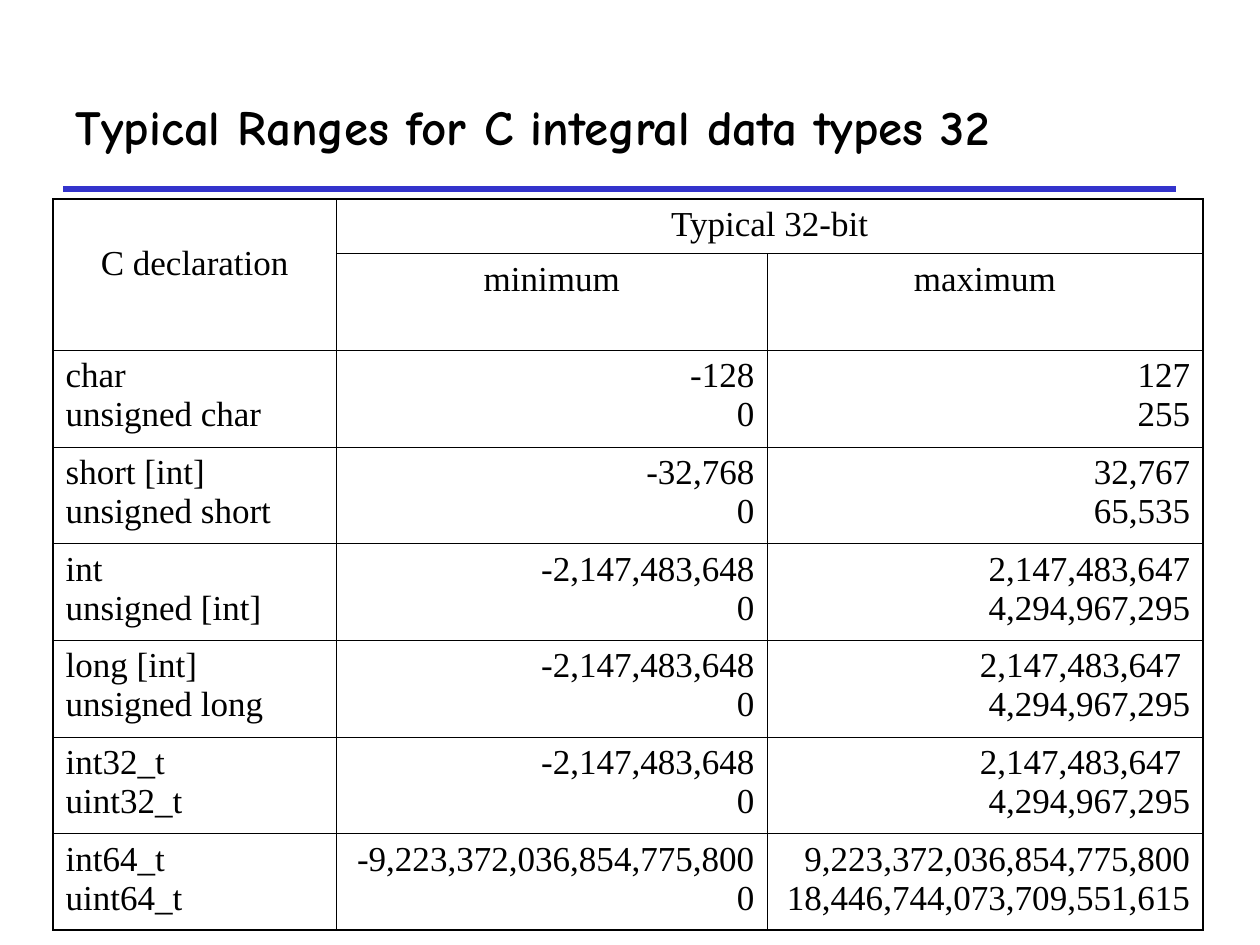
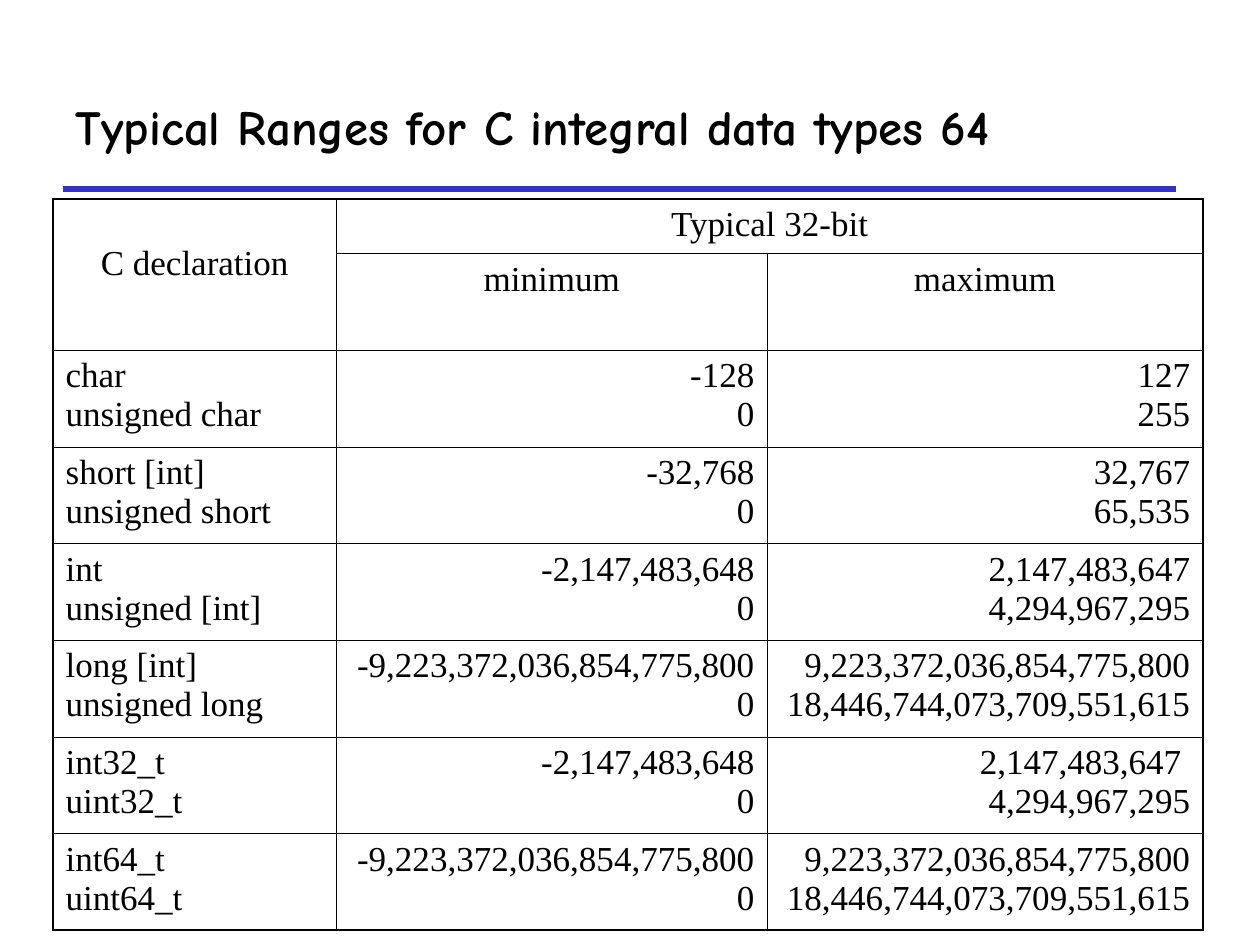
from lxml import etree
from pptx import Presentation
from pptx.dml.color import RGBColor
from pptx.enum.shapes import MSO_CONNECTOR
from pptx.enum.text import MSO_ANCHOR, MSO_AUTO_SIZE, PP_ALIGN
from pptx.oxml.ns import qn
from pptx.util import Pt

LEFT, CENTER, RIGHT = PP_ALIGN.LEFT, PP_ALIGN.CENTER, PP_ALIGN.RIGHT
MIDDLE = MSO_ANCHOR.MIDDLE
NO_AUTOFIT = MSO_AUTO_SIZE.NONE
STRAIGHT = MSO_CONNECTOR.STRAIGHT

BLACK = RGBColor(0x00, 0x00, 0x00)
RULE_BLUE = RGBColor(0x33, 0x33, 0xCC)
TITLE_FONT = "Comic Neue"
TABLE_FONT = "Times New Roman"

TITLE_ONLY = 5
COLUMN_WIDTHS = (162, 246, 249)
HEADER_HEIGHT = 31
ROW_HEIGHT = 55.25
OUTER_BORDER = 1.08
INNER_BORDER = 0.45

CHAR = ("-128\n0", "127\n255")
SHORT = ("-32,768\n0", "32,767\n65,535")
INT = ("-2,147,483,648\n0", "2,147,483,647\n4,294,967,295")
INT_SPACED = ("-2,147,483,648\n0", "2,147,483,647 \n4,294,967,295")
INT64 = (
    "-9,223,372,036,854,775,800\n0",
    "9,223,372,036,854,775,800\n18,446,744,073,709,551,615",
)


def write_text(text_frame, text, font=TABLE_FONT, size=20, bold=False, align=LEFT):
    text_frame.text = text
    for paragraph in text_frame.paragraphs:
        paragraph.alignment = align
        paragraph.font.name = font
        paragraph.font.size = Pt(size)
        paragraph.font.bold = bold
        paragraph.font.color.rgb = BLACK


def add_title(slide, text):
    title = slide.shapes.title
    title.left, title.top, title.width, title.height = Pt(36), Pt(36), Pt(636), Pt(72)
    title.text_frame.auto_size = NO_AUTOFIT
    title.text_frame.vertical_anchor = MIDDLE
    write_text(title.text_frame, text, font=TITLE_FONT, size=28, bold=True)


def add_title_rule(slide):
    rule = slide.shapes.add_connector(STRAIGHT, Pt(36), Pt(108), Pt(672), Pt(108))
    rule.line.color.rgb = RULE_BLUE
    rule.line.width = Pt(3)
    etree.SubElement(rule._element.spPr, qn("a:effectLst"))


def set_borders(cell, widths):
    properties = cell._tc.get_or_add_tcPr()
    for side, width in widths.items():
        line = etree.SubElement(properties, qn(f"a:ln{side}"), w=str(Pt(width)))
        fill = etree.SubElement(line, qn("a:solidFill"))
        etree.SubElement(fill, qn("a:srgbClr"), val=str(BLACK))


def format_grid(table):
    last_row, last_column = len(table.rows) - 1, len(table.columns) - 1
    for row in range(last_row + 1):
        for column in range(last_column + 1):
            cell = table.cell(row, column)
            right_column = column + (cell.span_width - 1 if cell.is_merge_origin else 0)
            outer = {
                "L": column == 0,
                "R": right_column == last_column,
                "T": row == 0,
                "B": row == last_row,
            }
            set_borders(cell, {side: OUTER_BORDER if is_outer else INNER_BORDER
                               for side, is_outer in outer.items()})
            cell.fill.background()


def add_range_table(slide, ranges):
    row_count = len(ranges) + 2
    height = HEADER_HEIGHT + ROW_HEIGHT * (row_count - 1)
    table = slide.shapes.add_table(
        row_count, len(COLUMN_WIDTHS), Pt(30.3), Pt(113.9),
        Pt(sum(COLUMN_WIDTHS)), Pt(height)).table
    table.first_row = table.horz_banding = False
    for column, width in zip(table.columns, COLUMN_WIDTHS):
        column.width = Pt(width)
    for index, row in enumerate(table.rows):
        row.height = Pt(ROW_HEIGHT if index else HEADER_HEIGHT)

    declaration = table.cell(0, 0)
    declaration.merge(table.cell(1, 0))
    declaration.margin_top = Pt(25.7)
    table.cell(0, 1).merge(table.cell(0, 2))
    headers = {(0, 0): "C declaration", (0, 1): "Typical 32-bit",
               (1, 1): "minimum", (1, 2): "maximum"}
    for position, text in headers.items():
        write_text(table.cell(*position).text_frame, text, align=CENTER)

    for row, (names, limits) in enumerate(ranges, start=2):
        write_text(table.cell(row, 0).text_frame, names)
        for column, limit in enumerate(limits, start=1):
            write_text(table.cell(row, column).text_frame, limit, align=RIGHT)
    format_grid(table)


def add_range_slide(presentation, word_size, long_limits):
    slide = presentation.slides.add_slide(presentation.slide_layouts[TITLE_ONLY])
    add_title_rule(slide)
    add_title(slide, f"Typical Ranges for C integral data types {word_size}")
    add_range_table(slide, [
        ("char\nunsigned char", CHAR),
        ("short [int]\nunsigned short", SHORT),
        ("int\nunsigned [int]", INT),
        ("long [int]\nunsigned long", long_limits),
        ("int32_t\nuint32_t", INT_SPACED),
        ("int64_t\nuint64_t", INT64),
    ])


def main():
    presentation = Presentation()
    presentation.slide_width, presentation.slide_height = Pt(720), Pt(540)
    add_range_slide(presentation, 32, INT_SPACED)
    add_range_slide(presentation, 64, INT64)
    presentation.save("out.pptx")


if __name__ == "__main__":
    main()
